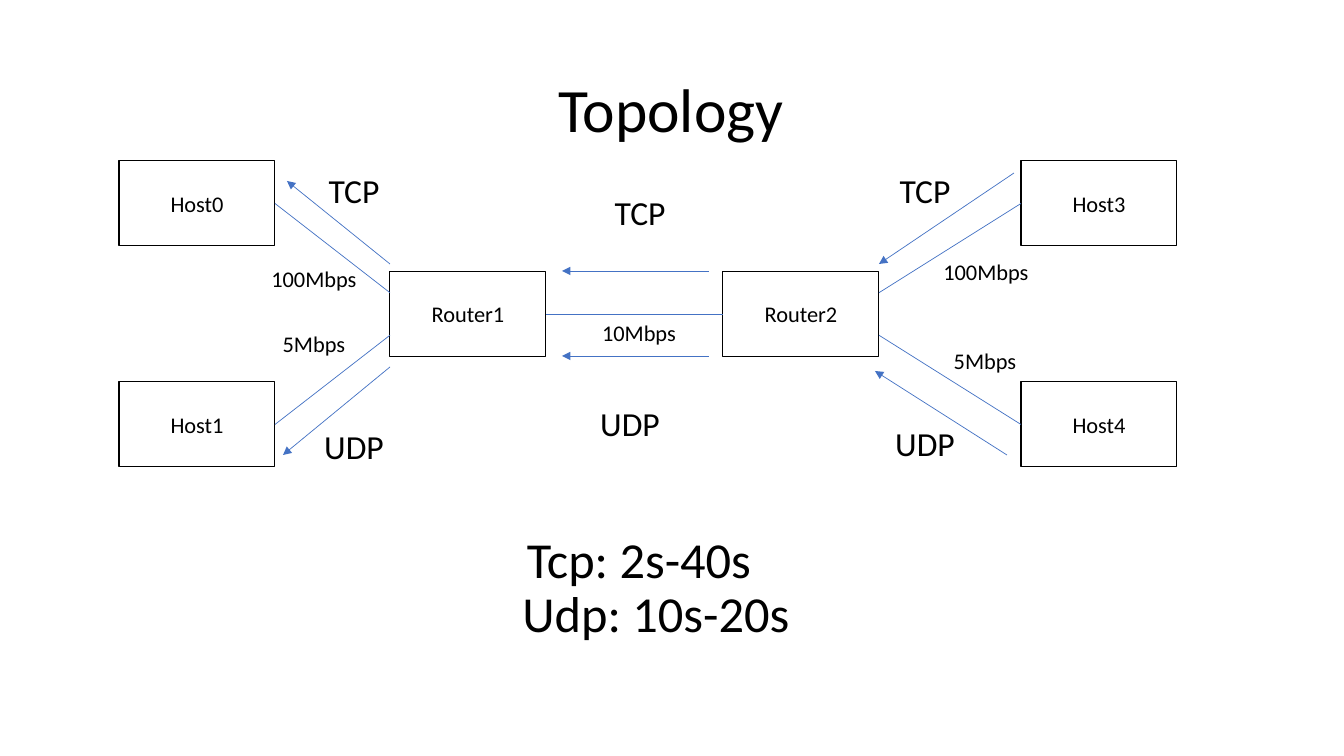
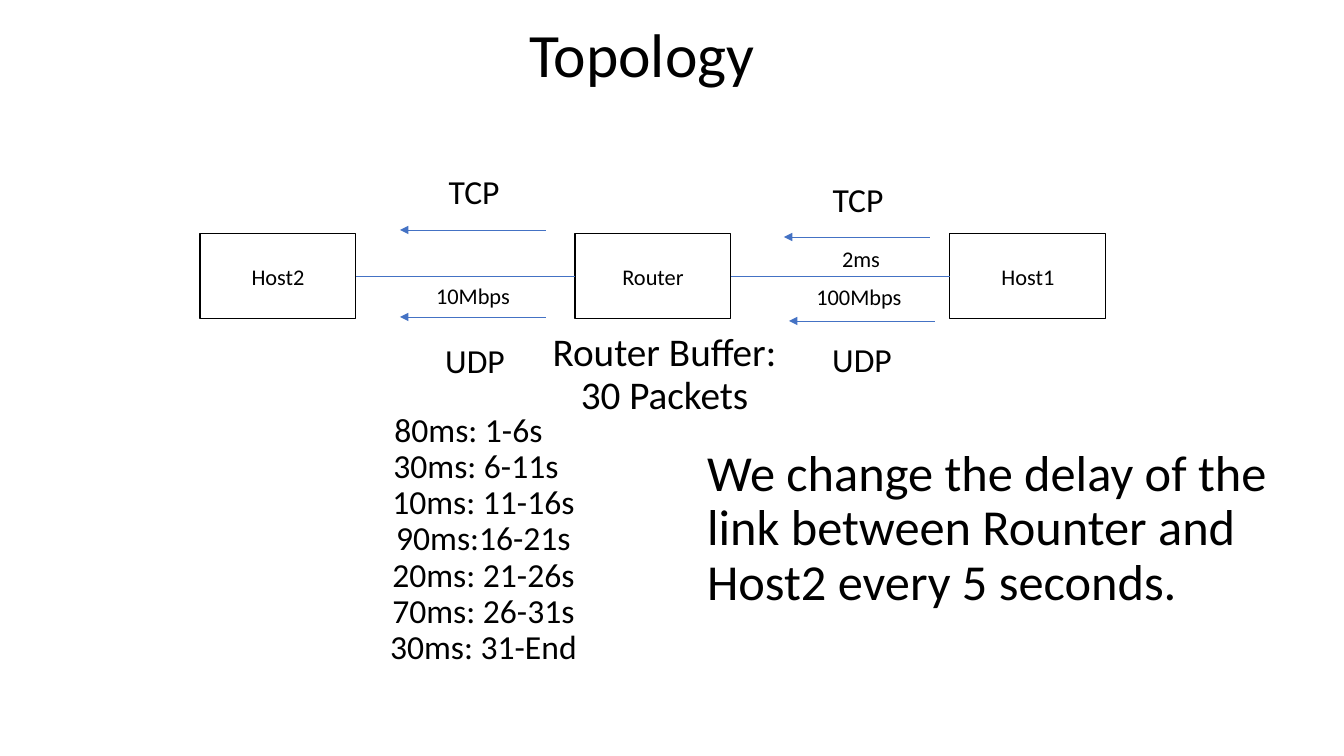
from collections import namedtuple

from lxml import etree
from pptx import Presentation
from pptx.dml.color import RGBColor
from pptx.enum.shapes import MSO_CONNECTOR, MSO_SHAPE
from pptx.enum.text import MSO_ANCHOR, PP_ALIGN
from pptx.oxml.ns import qn
from pptx.util import Emu, Pt

BLACK = RGBColor(0x00, 0x00, 0x00)
BLUE = RGBColor(0x44, 0x72, 0xC4)
FONT = "Calibri"
TITLE_SIZE, BODY_SIZE, BUFFER_SIZE, FLOW_SIZE, NODE_SIZE = 44, 36, 28, 24, 16
LEFT, CENTER = PP_ALIGN.LEFT, PP_ALIGN.CENTER
TOP, MIDDLE = MSO_ANCHOR.TOP, MSO_ANCHOR.MIDDLE
RECTANGLE, STRAIGHT = MSO_SHAPE.RECTANGLE, MSO_CONNECTOR.STRAIGHT
LEFT_SITE, RIGHT_SITE = 1, 3

EMU_PER_PIXEL = 914400 / 100.8
SLIDE_WIDTH, SLIDE_HEIGHT = 1344, 756
TITLE_WIDTH, TITLE_HEIGHT = 1252, 85
NODE_WIDTH, NODE_HEIGHT = 156, 85
RATE_WIDTH, RATE_HEIGHT = 120, 54
INSET = 13

Box = namedtuple("Box", "left top width height")


def px(length):
    """Turn pixels into EMU."""
    return Emu(round(length * EMU_PER_PIXEL))


def write_lines(shape, lines, size, align=CENTER, anchor=TOP, spacing=0.9, indents=()):
    """Fill a shape with one paragraph per line."""
    frame = shape.text_frame
    frame.word_wrap = True
    frame.vertical_anchor = anchor
    frame.margin_left = frame.margin_right = px(INSET)
    frame.margin_top = frame.margin_bottom = px(INSET)
    frame.text = "\n".join(lines)
    for para in frame.paragraphs:
        para.alignment = align
        para.line_spacing = spacing
        para.font.name = FONT
        para.font.size = Pt(size)
        para.font.color.rgb = BLACK
    for para, indent in zip(frame.paragraphs, indents):
        para._p.get_or_add_pPr().set("marL", str(px(indent)))


def add_text(page, box, lines, size, **style):
    """Add a text box."""
    shape = page.shapes.add_textbox(*map(px, box))
    write_lines(shape, lines, size, **style)


def add_title(page, left, top):
    """Add the slide title."""
    add_text(page, Box(left, top, TITLE_WIDTH, TITLE_HEIGHT), ["Topology"], TITLE_SIZE)


def add_node(page, name, left, top):
    """Add an outlined host or router."""
    node = page.shapes.add_shape(
        RECTANGLE, px(left), px(top), px(NODE_WIDTH), px(NODE_HEIGHT))
    node.shadow.inherit = False
    node.fill.background()
    node.line.color.rgb = BLACK
    node.line.width = Pt(0.75)
    write_lines(node, [name], NODE_SIZE, anchor=MIDDLE, spacing=1.0)
    return node


def add_line(page, start, end, arrow=False):
    """Add a thin blue line, with an arrowhead at its end if asked."""
    line = page.shapes.add_connector(STRAIGHT, *map(px, (*start, *end)))
    line.line.color.rgb = BLUE
    line.line.width = Pt(0.5)
    properties = line.element.spPr
    if arrow:
        outline = properties.find(qn("a:ln"))
        etree.SubElement(outline, qn("a:tailEnd"), type="triangle")
    etree.SubElement(properties, qn("a:effectLst"))
    return line


def link_nodes(page, first, second):
    """Join the right side of one node to the left side of the next."""
    link = add_line(page, (0, 0), (0, 0))
    link.begin_connect(first, RIGHT_SITE)
    link.end_connect(second, LEFT_SITE)


def add_traffic(page, box, flows, labels, rates):
    """Add flow arrows, protocol labels and link rates relative to the box."""
    for x1, y1, x2, y2 in flows:
        add_line(page, (box.left + x1, box.top + y1),
                 (box.left + x2, box.top + y2), arrow=True)
    groups = ((labels, NODE_WIDTH, NODE_HEIGHT, FLOW_SIZE),
              (rates, RATE_WIDTH, RATE_HEIGHT, NODE_SIZE))
    for group, width, height, size in groups:
        for text, x, y in group:
            add_text(page, Box(box.left + x, box.top + y, width, height),
                     [text], size, anchor=MIDDLE, spacing=1.0)


def draw_dumbbell(page, box):
    """Draw four hosts in the corners around two linked routers."""
    right = box.left + box.width - NODE_WIDTH
    bottom = box.top + box.height - NODE_HEIGHT
    router_top = (box.top + bottom) / 2
    router_lefts = (box.left + 271, box.left + 604)
    routers = [add_node(page, f"Router{number}", left, router_top)
               for number, left in enumerate(router_lefts, 1)]
    link_nodes(page, *routers)
    sides = (
        (box.left, RIGHT_SITE, router_lefts[0], ("Host0", "Host1")),
        (right, LEFT_SITE, router_lefts[1] + NODE_WIDTH, ("Host3", "Host4")),
    )
    for left, site, router_edge, names in sides:
        for name, top, share in zip(names, (box.top, bottom), (0.25, 0.75)):
            host = add_node(page, name, left, top)
            port = (router_edge, router_top + NODE_HEIGHT * share)
            add_line(page, port, port).begin_connect(host, site)
    add_traffic(
        page, box,
        flows=((895, 12, 760, 103), (590, 110, 443, 110), (271, 103, 168, 20),
               (888, 294, 756, 210), (590, 195, 443, 195), (271, 206, 164, 294)),
        labels=(("TCP", 157, -13), ("TCP", 443, 9), ("TCP", 728, -13),
                ("UDP", 157, 243), ("UDP", 433, 220), ("UDP", 728, 240)),
        rates=(("100Mbps", 135, 91), ("5Mbps", 135, 156), ("10Mbps", 460, 145),
               ("100Mbps", 807, 84), ("5Mbps", 806, 173)))


def draw_chain(page, box):
    """Draw two hosts on either side of one router."""
    pitch = (box.width - NODE_WIDTH) / 2
    nodes = [add_node(page, name, box.left + index * pitch, box.top)
             for index, name in enumerate(("Host2", "Router", "Host1"))]
    for first, second in zip(nodes, nodes[1:]):
        link_nodes(page, first, second)
    add_traffic(
        page, box,
        flows=((346, -4, 200, -4), (346, 83, 200, 83),
               (730, 3, 584, 3), (735, 87, 589, 87)),
        labels=(("TCP", 196, -85), ("UDP", 197, 84),
                ("TCP", 580, -77), ("UDP", 584, 83)),
        rates=(("10Mbps", 213, 35), ("2ms", 601, -2), ("100Mbps", 599, 36)))


def build_dumbbell_slide(page):
    """Build the slide with two routers and the flow times."""
    add_title(page, 45, 66)
    draw_dumbbell(page, Box(119, 161, 1058, 306))
    add_text(page, Box(13, 522, 1252, 155), ["Tcp: 2s-40s", "Udp: 10s-20s"],
             BODY_SIZE, indents=(0, 34))


def build_delay_slide(page):
    """Build the slide with one router and the delay schedule."""
    add_title(page, 16, 11)
    draw_chain(page, Box(200, 234, 906, 85))
    add_text(page, Box(528, 320, 273, 107), ["Router Buffer:", "30 Packets"], BUFFER_SIZE)
    schedule = ["80ms: 1-6s", "30ms: 6-11s", "10ms: 11-16s", "90ms:16-21s",
                "20ms: 21-26s", "70ms: 26-31s", "30ms: 31-End"]
    add_text(page, Box(295, 400, 347, 326), schedule, FLOW_SIZE,
             indents=(0, 15, 30, 30, 30, 30, 30))
    add_text(page, Box(694, 435, 615, 326),
             ["We change the delay of the link between Rounter and Host2 every 5 seconds."],
             BODY_SIZE, align=LEFT)


def main():
    """Build and save the deck."""
    deck = Presentation()
    deck.slide_width, deck.slide_height = px(SLIDE_WIDTH), px(SLIDE_HEIGHT)
    blank = deck.slide_layouts[6]
    for build in (build_dumbbell_slide, build_delay_slide):
        build(deck.slides.add_slide(blank))
    deck.save("out.pptx")


main()
